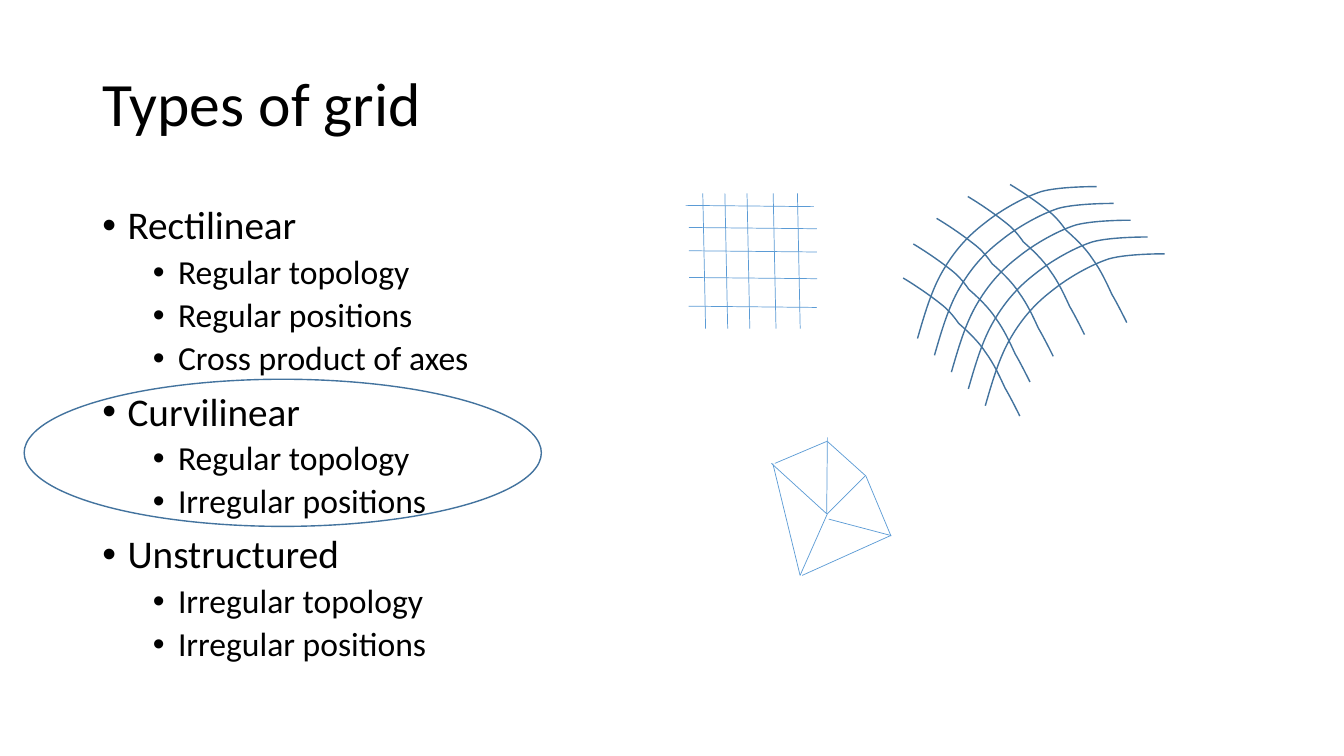
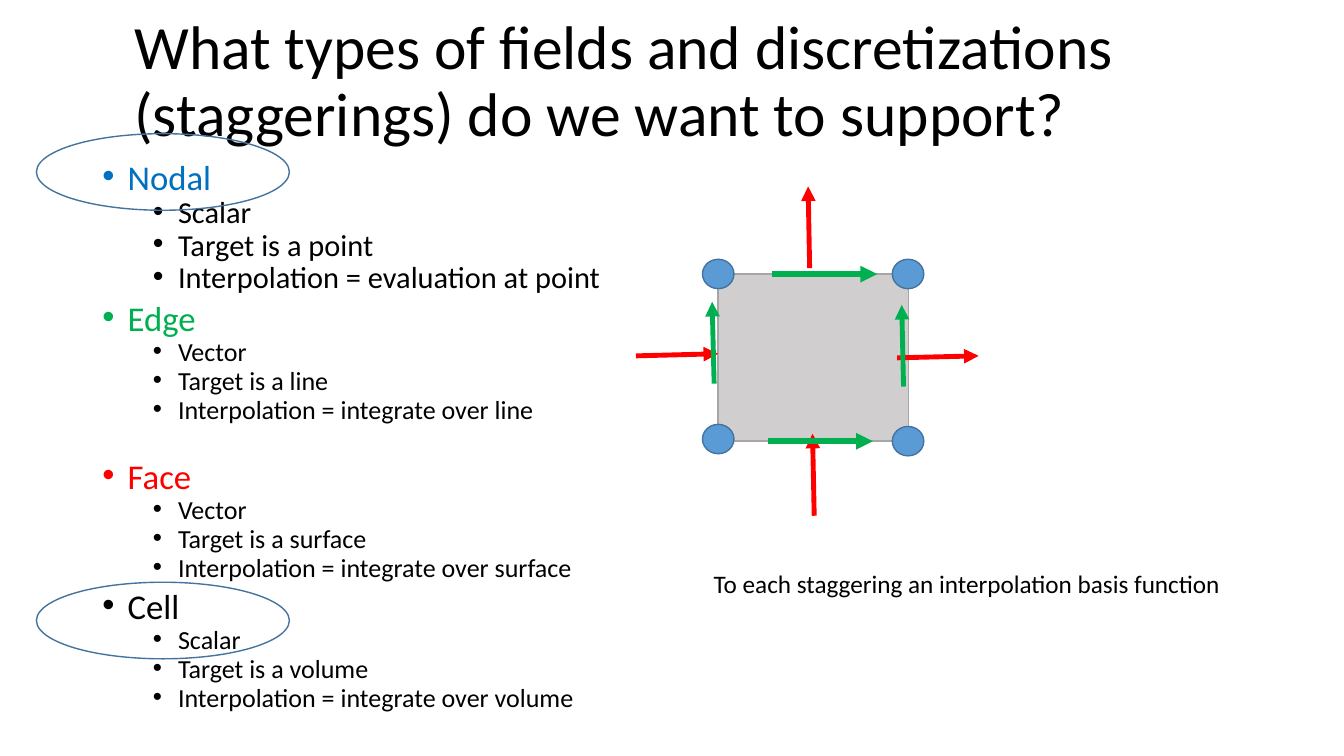
from dataclasses import dataclass

from lxml.etree import SubElement
from pptx import Presentation
from pptx.dml.color import RGBColor
from pptx.enum.shapes import MSO_CONNECTOR as CONN, MSO_SHAPE as SHAPE
from pptx.enum.text import MSO_ANCHOR as ANCHOR
from pptx.oxml.ns import qn
from pptx.util import Pt


@dataclass(frozen=True)
class Theme:
    font: str = "Calibri"
    text: str = "000000"
    nodal: str = "0070C0"
    edge: str = "00B050"
    face: str = "FF0000"
    accent: str = "5B9BD5"
    outline: str = "43739E"
    cell: str = "D0CECE"
    cell_line: str = "A6A6A6"
    title: float = 44
    head: float = 28
    item: float = 24
    dense_head: float = 24.8
    dense_item: float = 18.6
    large_item: float = 21.7
    note: float = 18


T = Theme()

# Slide 1 content: (heading, items)
GRID_TYPES = [
    ("Rectilinear", ["Regular topology", "Regular positions", "Cross product of axes"]),
    ("Curvilinear", ["Regular topology", "Irregular positions"]),
    ("Unstructured", ["Irregular topology", "Irregular positions"]),
]
COLUMN_X = [502, 517.8, 533.6, 552.3, 569.6]
ROW_STARTS = [(489.8, 146.7), (492, 162.5), (492, 179.1), (492.2, 198.2), (491.9, 218.7)]

# Bezier points relative to a start: two controls and an end per segment
RISING = [(0, 0), (5, -17.3), (10, -34.5), (18, -48.2), (26, -62), (35.3, -72.7),
          (47.5, -82), (59, -91.4), (75.6, -100.8), (88.6, -105),
          (102, -108.7), (128, -108.5), (128, -108.5)]
FALLING = [(0, 0), (10.8, 6.5), (20.9, 13.7), (28, 19.4), (34.5, 24.5), (39.6, 32.4),
           (39.6, 32.4), (45.4, 37.4), (54, 45.4), (59, 53.3), (64.8, 61.2),
           (69.1, 70.6), (72.7, 78.5), (77, 85.7), (83.3, 98.6), (83.3, 98.6)]
RISING_STARTS = [(655.4 + 12.1 * i, 241.8 + 12 * i) for i in range(5)]
FALLING_STARTS = [(645.1, 198.6), (652.4, 174.3), (669, 156), (691.3, 140.4), (721.5, 131.8)]

MESH_EDGES = [
    (551, 331, 590.5, 367), (591, 312.5, 590.5, 367), (553.5, 331, 590.5, 315.3),
    (591, 315.3, 618.5, 340), (618, 340, 591, 367), (552, 331, 571.5, 411),
    (591, 367, 571.5, 411), (592, 370.8, 636, 382.4), (618.5, 340, 636.5, 383),
    (573, 411, 636.5, 382.4),
]

# Slide 2 content: (heading, colour, item size, space before, items)
FIELDS = [
    ("Nodal", T.nodal, T.large_item, 10,
     ["Scalar", "Target is a point", "Interpolation = evaluation at point"]),
    ("Edge", T.edge, T.dense_item, 10,
     ["Vector", "Target is a line", "Interpolation = integrate over line"]),
    ("Face", T.face, T.dense_item, 30.4,
     ["Vector", "Target is a surface", "Interpolation = integrate over surface"]),
    ("Cell", T.text, T.dense_item, 10,
     ["Scalar", "Target is a volume", "Interpolation = integrate over volume"]),
]
NODES = [(501.8, 185.2), (637.4, 185.2), (637.4, 304.6), (501.8, 303.1)]
# (colour, width, turn in degrees, ends before the turn)
ARROWS = [
    (T.face, 3.5, 0, [(640.8, 255.6, 699.1, 254.2), (454.3, 254.2, 513, 252.7)]),
    (T.face, 3.5, 270, [(548.6, 162.9, 607, 161.8), (551.7, 339.7, 610.3, 338.5)]),
    (T.edge, 3.5, 270, [(615.6, 247.6, 673.9, 246.3), (480.2, 245.5, 538.6, 244.1)]),
    (T.edge, 4, 0, [(551.7, 195.8, 626.6, 195.8), (548.6, 315.2, 623.5, 315.2)]),
]


# Helpers
def rgb(color):
    return RGBColor.from_string(color)


def add_text(p, text, size, color=T.text, spacing=1.0, before=0, level=None):
    """Fill a paragraph; level 0 or 1 makes it a bullet."""
    p.line_spacing, p.space_before = spacing, Pt(before)
    if level is not None:
        p.level = level
        pPr = p._p.get_or_add_pPr()
        pPr.set("marL", str(Pt(18 + 36 * level)))
        pPr.set("indent", str(-Pt(18)))
        SubElement(pPr, qn("a:buFont")).set("typeface", "Arial")
        SubElement(pPr, qn("a:buChar")).set("char", "•")
    r = p.add_run()
    r.text = text
    r.font.name, r.font.size = T.font, Pt(size)
    r.font.color.rgb = rgb(color)


def add_box(s, x, y, w, h, wrap=True, anchor=ANCHOR.TOP):
    tf = s.shapes.add_textbox(Pt(x), Pt(y), Pt(w), Pt(h)).text_frame
    tf.word_wrap, tf.vertical_anchor = wrap, anchor
    return tf


def add_title(s, text, x, y):
    tf = add_box(s, x, y, 828, 104.4, anchor=ANCHOR.MIDDLE)
    add_text(tf.paragraphs[0], text, T.title, spacing=0.9)


def add_bullets(s, y, h, bullets):
    tf = add_box(s, 66.1, y, 828, h)
    for i, (text, fmt) in enumerate(bullets):
        p = tf.add_paragraph() if i else tf.paragraphs[0]
        add_text(p, text, **fmt)


def style(sp, line, fill=None):
    sp.shadow.inherit = False
    if fill:
        sp.fill.solid()
        sp.fill.fore_color.rgb = rgb(fill)
    else:
        sp.fill.background()
    sp.line.color.rgb, sp.line.width = rgb(line), Pt(1)


def add_shape(s, kind, x, y, w, h, line=T.outline, fill=None):
    style(s.shapes.add_shape(kind, Pt(x), Pt(y), Pt(w), Pt(h)), line, fill)


def add_line(s, x1, y1, x2, y2, color=T.accent, width=0.5, arrow=False, turn=0):
    c = s.shapes.add_connector(CONN.STRAIGHT, Pt(x1), Pt(y1), Pt(x2), Pt(y2))
    c.line.color.rgb, c.line.width = rgb(color), Pt(width)
    if arrow:
        SubElement(c.line._get_or_add_ln(), qn("a:tailEnd")).set("type", "triangle")
    if turn:
        c._element.spPr.find(qn("a:xfrm")).set("rot", str(turn * 60000))
    SubElement(c._element.spPr, qn("a:effectLst"))


def add_curve(s, start, curve):
    points = [(Pt(start[0] + x), Pt(start[1] + y)) for x, y in curve]
    builder = s.shapes.build_freeform(*points[0])
    builder.add_line_segments(points[1:], close=False)
    sp = builder.convert_to_shape()
    # Merge every three line segments into one Bezier segment
    outline = next(sp._element.iter(qn("a:moveTo"))).getparent()
    segments = outline.findall(qn("a:lnTo"))
    for i in range(0, len(segments), 3):
        bezier = SubElement(outline, qn("a:cubicBezTo"))
        for segment in segments[i:i + 3]:
            bezier.append(segment[0])
            outline.remove(segment)
    style(sp, T.outline)


# Slides
def grid_slide(s):
    add_title(s, "Types of grid", 66.2, 23.6)
    bullets = []
    for head, items in GRID_TYPES:
        bullets.append((head, dict(size=T.head, spacing=0.9, before=10, level=0)))
        bullets += [(item, dict(size=T.item, spacing=0.9, before=5, level=1)) for item in items]
    add_bullets(s, 143.7, 342.7, bullets)

    # Rectilinear grid
    for x in COLUMN_X:
        add_line(s, x, 138.2, x + 2, 234.7)
    for x, y in ROW_STARTS:
        add_line(s, x, y, x + 91.5, y + 0.9)

    # Curvilinear grid
    for starts, curve in ((RISING_STARTS, RISING), (FALLING_STARTS, FALLING)):
        for start in starts:
            add_curve(s, start, curve)

    # Unstructured mesh
    for ends in MESH_EDGES:
        add_line(s, *ends)
    add_shape(s, SHAPE.OVAL, 17.3, 270.9, 369.4, 105.1)


def field_slide(s):
    add_title(s, "What types of fields and discretizations (staggerings) do we want to support?",
              88.9, 7.1)
    bullets = []
    for head, color, size, before, items in FIELDS:
        bullets.append((head, dict(size=T.dense_head, color=color, spacing=0.7,
                                   before=before, level=0)))
        bullets += [(item, dict(size=size, spacing=0.7, before=5, level=1)) for item in items]
    add_bullets(s, 116, 401.8, bullets)

    # Cell with its nodes, faces and edges
    add_shape(s, SHAPE.RECTANGLE, 513, 195.8, 136, 119.3, T.cell_line, T.cell)
    for x, y in NODES:
        add_shape(s, SHAPE.OVAL, x, y, 22.5, 21, fill=T.accent)
    for color, width, turn, lines in ARROWS:
        for ends in lines:
            add_line(s, *ends, color=color, width=width, arrow=True, turn=turn)

    tf = add_box(s, 502.7, 402.5, 381, 29, wrap=False)
    add_text(tf.paragraphs[0], "To each staggering an interpolation basis function", T.note)

    # Highlights
    for y in (95.5, 415.9):
        add_shape(s, SHAPE.OVAL, 26, y, 180.7, 54.7)


def main():
    prs = Presentation()
    prs.slide_width, prs.slide_height = Pt(960), Pt(540)
    for build in (grid_slide, field_slide):
        build(prs.slides.add_slide(prs.slide_layouts[6]))
    prs.save("out.pptx")


if __name__ == "__main__":
    main()
